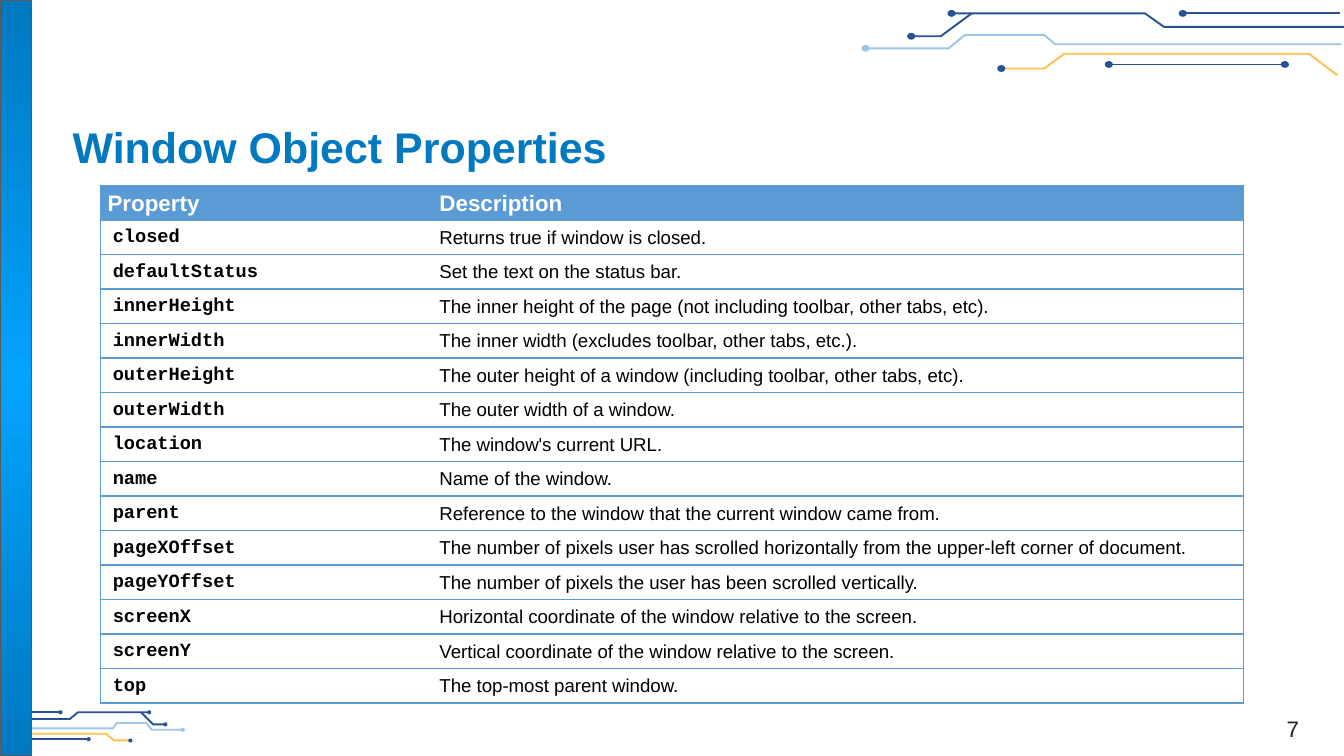
from dataclasses import dataclass

from lxml import etree
from pptx import Presentation
from pptx.dml.color import RGBColor
from pptx.enum.shapes import MSO_CONNECTOR, MSO_SHAPE
from pptx.enum.text import MSO_ANCHOR, PP_ALIGN
from pptx.oxml.ns import qn
from pptx.util import Inches, Pt

LEFT, CENTER = PP_ALIGN.LEFT, PP_ALIGN.CENTER
MIDDLE, BOTTOM = MSO_ANCHOR.MIDDLE, MSO_ANCHOR.BOTTOM
OVAL, RECTANGLE = MSO_SHAPE.OVAL, MSO_SHAPE.RECTANGLE
STRAIGHT = MSO_CONNECTOR.STRAIGHT

SLIDE_WIDTH, SLIDE_HEIGHT = Inches(10), Inches(5.625)
COLUMNS = 100
ROWS = 56.25


@dataclass(frozen=True)
class Theme:
    """Colours, fonts, type sizes and line widths of the deck."""
    navy: str = "285293"
    sky: str = "9FC5E8"
    amber: str = "FEC14F"
    glow: str = "03A3FF"
    accent: str = "0079C0"
    table: str = "5B9BD5"
    edge: str = "595959"
    white: str = "FFFFFF"
    black: str = "000000"
    number: str = "222222"
    sans: str = "Arial"
    mono: str = "Courier New"
    title_size: float = 23
    header_size: float = 12
    body_size: float = 10
    thin: float = 0.75
    trace: float = 1.03


THEME = Theme()

TOP_TRACES = [
    (THEME.navy, [(100, 2), (86.6, 2), (85.2, 1), (70.8, 1)]),
    (THEME.navy, [(72.3, 1), (70, 2.7), (67.8, 2.7)]),
    (THEME.navy, [(99.7, 1), (88, 1)]),
    (THEME.amber, [(99.5, 5.6), (97.4, 4), (79.2, 4), (77.7, 5.1), (74.5, 5.1)]),
    (THEME.navy, [(95.6, 4.8), (82.5, 4.8)]),
    (THEME.sky, [(99.8, 3.3), (78.5, 3.3), (77.7, 2.6), (71.8, 2.6), (70.6, 3.6), (64.4, 3.6)]),
]
BOTTOM_TRACES = [
    (THEME.navy, [(0.3, 53.5), (5.2, 53.5), (5.8, 53), (11.1, 53)]),
    (THEME.navy, [(10.5, 53), (11.4, 53.9), (12.3, 53.9)]),
    (THEME.navy, [(0, 53), (4.5, 53)]),
    (THEME.amber, [(0.1, 55.4), (0.9, 54.6), (7.9, 54.6), (8.5, 55.1), (9.7, 55.1)]),
    (THEME.navy, [(1.6, 55), (6.6, 55)]),
    (THEME.sky, [(0.6, 54.2), (8.4, 54.2), (8.7, 53.8), (10.9, 53.8), (11.3, 54.3), (13.6, 54.3)]),
]
PROPERTIES = [
    ("Property", "Description"),
    ("closed", "Returns true if window is closed."),
    ("defaultStatus", "Set the text on the status bar."),
    ("innerHeight", "The inner height of the page (not including toolbar, other tabs, etc)."),
    ("innerWidth", "The inner width (excludes toolbar, other tabs, etc.)."),
    ("outerHeight", "The outer height of a window (including toolbar, other tabs, etc)."),
    ("outerWidth", "The outer width of a window."),
    ("location", "The window's current URL."),
    ("name", "Name of the window."),
    ("parent", "Reference to the window that the current window came from."),
    ("pageXOffset", "The number of pixels user has scrolled horizontally"
                    " from the upper-left corner of document."),
    ("pageYOffset", "The number of pixels the user has been scrolled vertically."),
    ("screenX", "Horizontal coordinate of the window relative to the screen."),
    ("screenY", "Vertical coordinate of the window relative to the screen."),
    ("top", "The top-most parent window."),
]


class SlideBuilder:
    """Draws styled elements on one slide, placed by grid columns and rows."""

    def __init__(self, slide, theme):
        """Keep the slide and the theme."""
        self.slide, self.theme = slide, theme

    def place(self, column, row):
        """Turn a grid position or size into slide lengths."""
        return round(column * SLIDE_WIDTH / COLUMNS), round(row * SLIDE_HEIGHT / ROWS)

    def outline(self, shape, color, width):
        """Set the line of a shape or connector."""
        shape.line.color.rgb = RGBColor.from_string(color)
        shape.line.width = Pt(width)

    def set_text(self, frame, text, font, size, color, bold=False, align=LEFT):
        """Fill a text frame with one styled paragraph."""
        frame.text = text
        paragraph = frame.paragraphs[0]
        paragraph.alignment = align
        style = paragraph.runs[0].font
        style.name, style.size, style.bold = font, Pt(size), bold
        style.color.rgb = RGBColor.from_string(color)

    def trace(self, color, points):
        """Draw a circuit trace through the points."""
        places = [self.place(*point) for point in points]
        if len(places) == 2:
            line = self.slide.shapes.add_connector(STRAIGHT, *places[0], *places[1])
            etree.SubElement(line._element.spPr, qn("a:effectLst"))
        else:
            builder = self.slide.shapes.build_freeform(*places[0])
            builder.add_line_segments(places[1:], close=False)
            line = builder.convert_to_shape()
            line.fill.background()
            line.shadow.inherit = False
        self.outline(line, color, self.theme.trace)

    def dot(self, color, center, width, height):
        """Draw the round end of a trace."""
        column, row = center
        shape = self.slide.shapes.add_shape(
            OVAL, *self.place(column - width / 2, row - height / 2), *self.place(width, height))
        shape.shadow.inherit = False
        shape.fill.solid()
        shape.fill.fore_color.rgb = RGBColor.from_string(color)
        self.outline(shape, color, self.theme.thin)

    def circuit(self, traces, dot_size, extra_dots):
        """Draw traces, a dot at the end of each, and the extra dots."""
        for color, points in traces:
            self.trace(color, points)
            dot_color = self.theme.navy if color == self.theme.amber else color
            self.dot(dot_color, points[-1], *dot_size)
        for center in extra_dots:
            self.dot(self.theme.navy, center, *dot_size)

    def side_bar(self, width):
        """Draw the glowing bar down the left edge."""
        bar = self.slide.shapes.add_shape(RECTANGLE, 0, 0, *self.place(width, ROWS))
        bar.shadow.inherit = False
        bar.fill.gradient()
        for stop, color in zip(bar.fill.gradient_stops, (self.theme.glow, self.theme.accent)):
            stop.color.rgb = RGBColor.from_string(color)
        gradient = bar._element.spPr.find(qn("a:gradFill"))
        gradient.remove(gradient.find(qn("a:lin")))
        radial = etree.SubElement(gradient, qn("a:path"), {"path": "circle"})
        etree.SubElement(radial, qn("a:fillToRect"), dict.fromkeys("ltrb", "50000"))
        self.outline(bar, self.theme.edge, self.theme.thin)

    def text(self, position, size, anchor, margin, text, *style, **options):
        """Add a wrapped text box."""
        box = self.slide.shapes.add_textbox(*self.place(*position), *self.place(*size))
        frame = box.text_frame
        frame.word_wrap = True
        frame.vertical_anchor = anchor
        frame.margin_left = frame.margin_right = Inches(0.07)
        frame.margin_top = frame.margin_bottom = Inches(margin)
        self.set_text(frame, text, *style, **options)

    def cell_borders(self, cell, visible):
        """Rule the named sides of a cell and clear the others."""
        properties = cell._tc.get_or_add_tcPr()
        for index, side in enumerate("LRTB"):
            line = etree.Element(qn(f"a:ln{side}"), {"w": str(Pt(self.theme.thin))})
            if side in visible:
                fill = etree.SubElement(line, qn("a:solidFill"))
                etree.SubElement(fill, qn("a:srgbClr"), {"val": self.theme.table})
            else:
                etree.SubElement(line, qn("a:noFill"))
            properties.insert(index, line)

    def table(self, position, widths, row_height, records):
        """Add a ruled two-column table with a filled header row."""
        theme = self.theme
        size = self.place(sum(widths), row_height * len(records))
        table = self.slide.shapes.add_table(
            len(records), len(widths), *self.place(*position), *size).table
        table.first_row = table.horz_banding = False
        for column, width in zip(table.columns, widths):
            column.width = self.place(width, 0)[0]
        for row_index, record in enumerate(records):
            table.rows[row_index].height = self.place(0, row_height)[1]
            for column_index, text in enumerate(record):
                cell = table.cell(row_index, column_index)
                header, code = row_index == 0, column_index == 0
                cell.vertical_anchor = MIDDLE
                cell.margin_left = Inches(0.09 if code and not header else 0.05)
                cell.margin_right = cell.margin_top = Inches(0.01)
                cell.margin_bottom = 0
                if header:
                    cell.fill.solid()
                    cell.fill.fore_color.rgb = RGBColor.from_string(theme.table)
                    style = theme.sans, theme.header_size, theme.white, True
                else:
                    cell.fill.background()
                    font = theme.mono if code else theme.sans
                    style = font, theme.body_size, theme.black, code
                self.set_text(cell.text_frame, text, *style)
                self.cell_borders(cell, "LTB" if code else "RTB")


def main():
    """Build and save the slide."""
    presentation = Presentation()
    presentation.slide_width, presentation.slide_height = SLIDE_WIDTH, SLIDE_HEIGHT
    slide = presentation.slides.add_slide(presentation.slide_layouts[6])
    builder = SlideBuilder(slide, THEME)
    builder.circuit(BOTTOM_TRACES, (0.2, 0.2), [(1.6, 55)])
    builder.circuit(TOP_TRACES, (0.5, 0.4), [(95.6, 4.8)])
    builder.side_bar(2.35)
    builder.text((4.7, 8), (88.8, 5.8), MIDDLE, 0.07, "Window Object Properties",
                 THEME.sans, THEME.title_size, THEME.accent, bold=True)
    builder.text((93, 51.2), (6.4, 4.4), BOTTOM, 0.04, "7",
                 THEME.sans, THEME.header_size, THEME.number, align=CENTER)
    builder.table((7.5, 13.8), (24.7, 60.3), 2.57, PROPERTIES)
    presentation.save("out.pptx")


if __name__ == "__main__":
    main()
